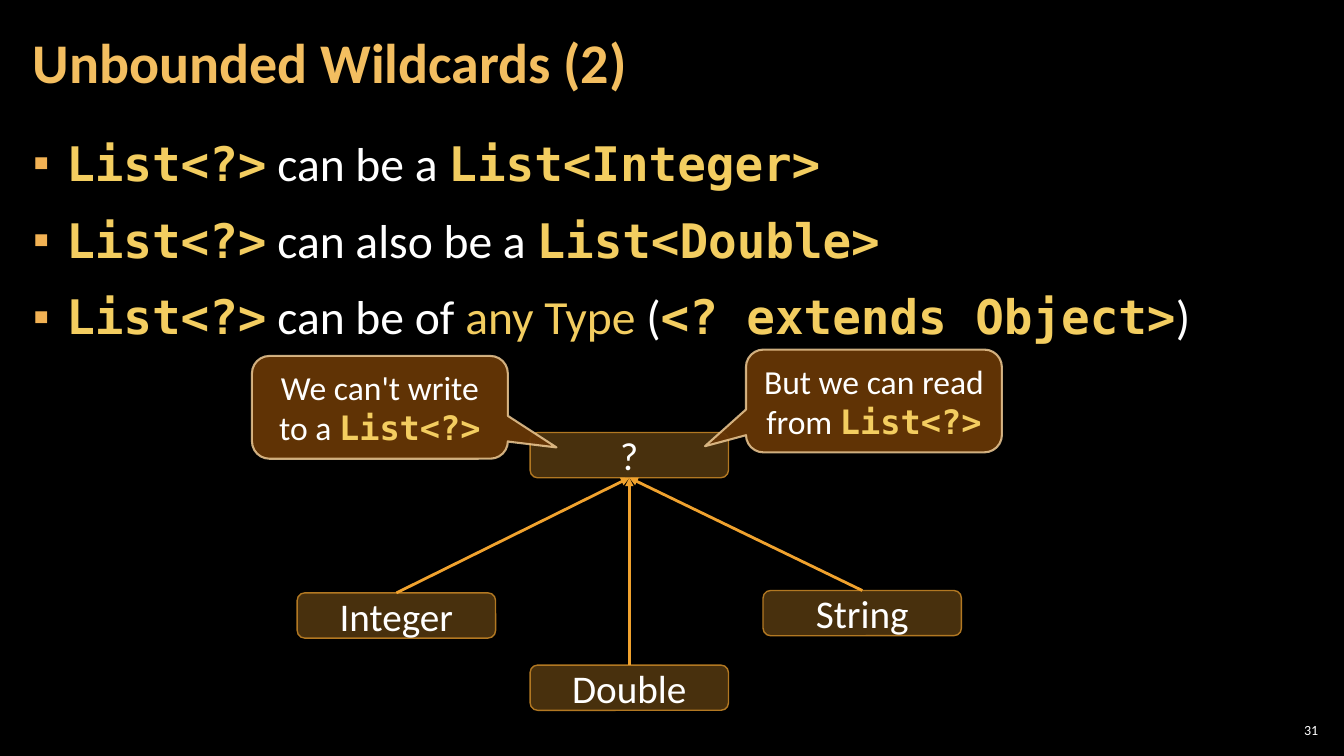
import lxml.etree
import pptx
import pptx.dml.color
import pptx.enum.shapes
import pptx.enum.text
import pptx.oxml.ns
import pptx.util

Cm = pptx.util.Cm
Pt = pptx.util.Pt
RGBColor = pptx.dml.color.RGBColor
Shape = pptx.enum.shapes.MSO_SHAPE
Align = pptx.enum.text.PP_ALIGN
Anchor = pptx.enum.text.MSO_ANCHOR
qn = pptx.oxml.ns.qn

BLACK = RGBColor(0x00, 0x00, 0x00)
WHITE = RGBColor(0xFF, 0xFF, 0xFF)
TITLE_GOLD = RGBColor(0xF3, 0xBE, 0x60)
CODE_GOLD = RGBColor(0xF3, 0xCD, 0x60)
BULLET_GOLD = RGBColor(0xF2, 0xB2, 0x54)
ORANGE = RGBColor(0xF0, 0xA2, 0x2E)
DARK_ORANGE = RGBColor(0xB2, 0x78, 0x22)
BROWN = RGBColor(0x66, 0x36, 0x06)
CREAM = RGBColor(0xF8, 0xD4, 0x9E)

TEXT_FONT = "Calibri"
CODE_FONT = "DejaVu Sans Mono"

# Run styles: font, colour, bold
PLAIN = (TEXT_FONT, WHITE, False)
ACCENT = (TEXT_FONT, CODE_GOLD, False)
CODE = (CODE_FONT, CODE_GOLD, True)
HEADING = (TEXT_FONT, TITLE_GOLD, True)

BULLETS = [
    [("List<?>", CODE), (" can be a ", PLAIN), ("List<Integer>", CODE)],
    [("List<?>", CODE), (" can also be a ", PLAIN), ("List<Double>", CODE)],
    [("List<?>", CODE), (" can be of ", PLAIN), ("any Type ", ACCENT), ("(", PLAIN),
     ("<? extends Object>", CODE), (")", PLAIN)],
]
NODE_SIZE = (5, 1.14)
CALLOUT_SIZE = (6.45, 2.59)


def write_runs(paragraph, runs, size):
    for text, (font_name, color, bold) in runs:
        run = paragraph.add_run()
        run.text = text
        run.font.name = font_name
        run.font.size = Pt(size)
        run.font.bold = bold
        run.font.color.rgb = color


def place(shape, box):
    shape.left, shape.top, shape.width, shape.height = [Cm(value) for value in box]


def set_frame(text_frame, anchor, side, edge):
    text_frame.word_wrap = True
    text_frame.auto_size = pptx.enum.text.MSO_AUTO_SIZE.NONE
    text_frame.vertical_anchor = anchor
    text_frame.margin_left = text_frame.margin_right = Cm(side)
    text_frame.margin_top = text_frame.margin_bottom = Cm(edge)


def set_opacity(fill_parent, percent):
    color = fill_parent.find(qn("a:solidFill")).find(qn("a:srgbClr"))
    lxml.etree.SubElement(color, qn("a:alpha"), val=str(percent * 1000))


def add_title(slide, box):
    title = slide.shapes.title
    place(title, box)
    set_frame(title.text_frame, Anchor.MIDDLE, 0.3, 0.1)
    paragraph = title.text_frame.paragraphs[0]
    paragraph.alignment = Align.LEFT
    paragraph.line_spacing = 0.9
    write_runs(paragraph, [("Unbounded Wildcards (2)", HEADING)], 40)


def add_bullets(slide, box):
    body = slide.placeholders[1]
    place(body, box)
    set_frame(body.text_frame, Anchor.TOP, 0.3, 0.1)
    for index, runs in enumerate(BULLETS):
        paragraph = body.text_frame.add_paragraph() if index else body.text_frame.paragraphs[0]
        paragraph.line_spacing = 1.05
        paragraph.space_before = paragraph.space_after = Pt(6)
        write_runs(paragraph, runs, 34)
        # Square bullet with a hanging indent
        properties = paragraph._p.get_or_add_pPr()
        properties.set("marL", str(Cm(0.84)))
        properties.set("indent", str(Cm(-0.84)))
        bullet_color = lxml.etree.SubElement(properties, qn("a:buClr"))
        lxml.etree.SubElement(bullet_color, qn("a:srgbClr"), val=str(BULLET_GOLD))
        lxml.etree.SubElement(properties, qn("a:buChar"), char="▪")


def add_panel(slide, kind, box, fill, opacity, line, line_width, runs, size):
    panel = slide.shapes.add_shape(kind, *[Cm(value) for value in box])
    panel.shadow.inherit = False
    panel.fill.solid()
    panel.fill.fore_color.rgb = fill
    set_opacity(panel._element.spPr, opacity)
    panel.line.color.rgb = line
    panel.line.width = Pt(line_width)
    set_frame(panel.text_frame, Anchor.MIDDLE, 0.25, 0.13)
    paragraph = panel.text_frame.paragraphs[0]
    paragraph.alignment = Align.CENTER
    write_runs(paragraph, runs, size)
    return panel


def add_arrow(slide, child, parent):
    arrow = slide.shapes.add_connector(pptx.enum.shapes.MSO_CONNECTOR.STRAIGHT, 0, 0, 0, 0)
    arrow.begin_connect(child, 0)
    arrow.end_connect(parent, 2)
    arrow.line.color.rgb = ORANGE
    arrow.line.width = Pt(2)
    lxml.etree.SubElement(arrow.line._get_or_add_ln(), qn("a:tailEnd"), type="triangle")
    lxml.etree.SubElement(arrow._element.spPr, qn("a:effectLst"))


def add_type_tree(slide, left, top):
    def add_node(text, across, down):
        box = (left + across, top + down, *NODE_SIZE)
        return add_panel(slide, Shape.ROUNDED_RECTANGLE, box, ORANGE, 30, DARK_ORANGE, 1,
                         [(text, PLAIN)], 28)

    wildcard = add_node("?", 5.87, 0)
    for text, across, down in [("Integer", 0, 4.04), ("Double", 5.87, 5.86),
                               ("String", 11.74, 3.98)]:
        add_arrow(slide, add_node(text, across, down), wildcard)


def add_callout(slide, left, top, text, pointer):
    callout = add_panel(slide, Shape.ROUNDED_RECTANGULAR_CALLOUT, (left, top, *CALLOUT_SIZE),
                        BROWN, 95, CREAM, 1.5, [(text, PLAIN), ("List<?>", CODE)], 24)
    set_opacity(callout.line._get_or_add_ln(), 80)
    for index, value in enumerate(pointer):
        callout.adjustments[index] = value


def add_slide_number(slide, box):
    number = slide.shapes.add_textbox(*[Cm(value) for value in box])
    set_frame(number.text_frame, Anchor.MIDDLE, 0.1, 0.1)
    paragraph = number.text_frame.paragraphs[0]
    paragraph.alignment = Align.RIGHT
    write_runs(paragraph, [("31", PLAIN)], 10)


def main():
    presentation = pptx.Presentation()
    presentation.slide_width = Cm(33.87)
    presentation.slide_height = Cm(19.05)
    slide = presentation.slides.add_slide(presentation.slide_layouts[1])
    slide.background.fill.solid()
    slide.background.fill.fore_color.rgb = BLACK

    # Heading, list and page number
    add_title(slide, (0.53, 0.1, 26.59, 3.07))
    add_bullets(slide, (0.53, 3.2, 32.79, 15.47))
    add_slide_number(slide, (32.13, 18.14, 1.19, 0.53))

    # Type hierarchy with its two remarks
    add_type_tree(slide, 7.49, 10.9)
    add_callout(slide, 6.35, 8.97, "We can't write to a ", (0.69, 0.39, 0.17))
    add_callout(slide, 18.8, 8.81, "But we can read from ", (-0.66, 0.44, 0.17))

    presentation.save("out.pptx")


if __name__ == "__main__":
    main()
